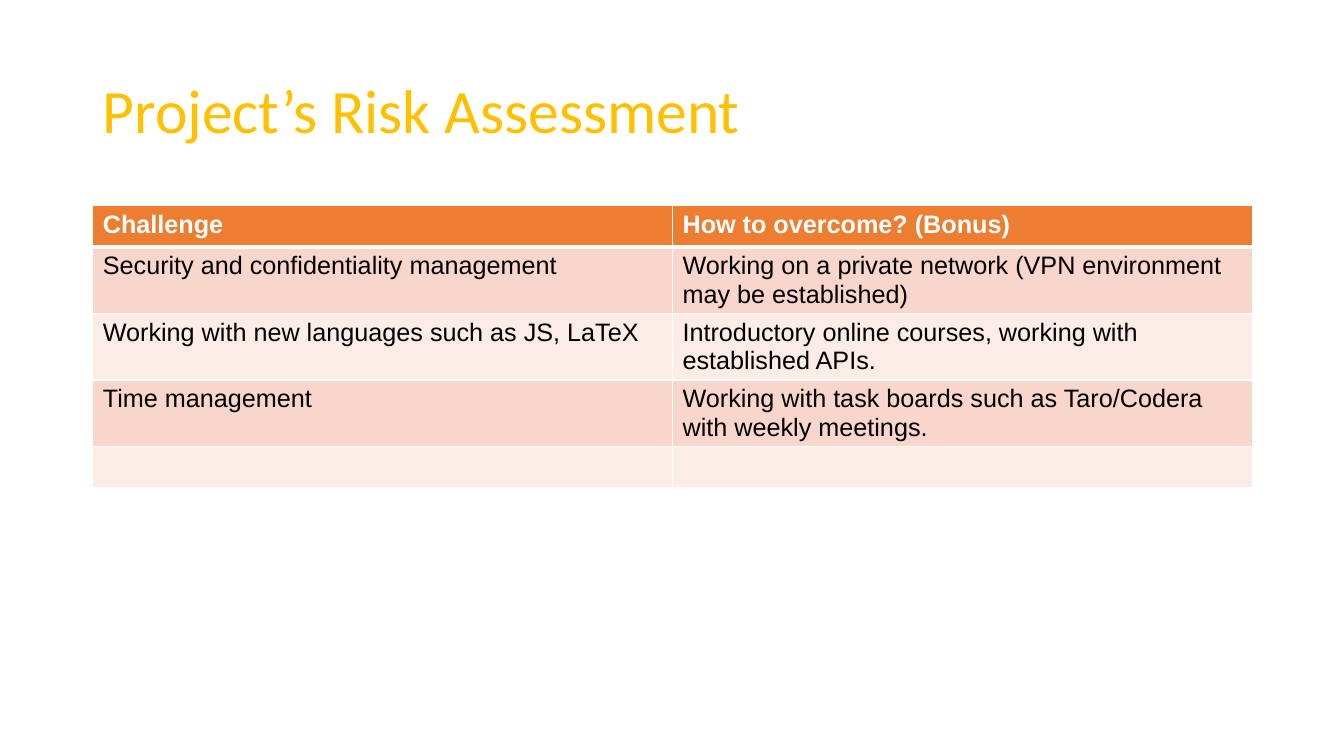
"""Build the project risk assessment slide."""
from lxml.etree import SubElement
from pptx import Presentation
from pptx.dml.color import RGBColor
from pptx.enum.text import MSO_ANCHOR as Anchor, PP_ALIGN as Align
from pptx.oxml.ns import qn
from pptx.util import Inches, Pt

GOLD = RGBColor(0xFF, 0xC0, 0x00)
ORANGE = RGBColor(0xED, 0x7D, 0x31)
ROSE = RGBColor(0xF8, 0xD6, 0xCC)
BLUSH = RGBColor(0xFC, 0xEC, 0xE7)
WHITE = RGBColor(0xFF, 0xFF, 0xFF)
BLACK = RGBColor(0x00, 0x00, 0x00)

LEFT, WIDTH = Inches(0.92), Inches(11.5)
RISKS = [
    ("Challenge", "How to overcome? (Bonus)"),
    ("Security and confidentiality management",
     "Working on a private network (VPN environment may be established)"),
    ("Working with new languages such as JS, LaTeX",
     "Introductory online courses, working with established APIs."),
    ("Time management",
     "Working with task boards such as Taro/Codera with weekly meetings."),
    ("", ""),
]


def write_text(frame, text, font="Arial", size=18, color=BLACK, bold=False, spacing=1.0):
    para = frame.paragraphs[0]
    para.alignment = Align.LEFT
    para.line_spacing = spacing
    if text:
        span = para.add_run()
        span.text = text
        span.font.name = font
        span.font.size = Pt(size)
        span.font.bold = bold
        span.font.color.rgb = color


class RiskPage:
    def __init__(self, deck):
        self.page = deck.slides.add_slide(deck.slide_layouts[5])

    def title(self, text):
        box = self.page.shapes.title
        box.left, box.top = LEFT, Inches(0.4)
        box.width, box.height = WIDTH, Inches(1.45)
        box.text_frame.word_wrap = True
        box.text_frame.vertical_anchor = Anchor.MIDDLE
        write_text(box.text_frame, text, font="Calibri", size=44, color=GOLD, spacing=0.9)

    def border(self, cell, side, points):
        line = SubElement(cell._tc.get_or_add_tcPr(), qn(f"a:ln{side}"), w=str(Pt(points)))
        fill = SubElement(line, qn("a:solidFill"))
        SubElement(fill, qn("a:srgbClr"), val=str(WHITE))

    def table(self, rows):
        height = Inches(0.41)
        table = self.page.shapes.add_table(
            len(rows), len(rows[0]), LEFT, Inches(2.04), WIDTH, height * len(rows)).table
        for index, texts in enumerate(rows):
            table.rows[index].height = height
            header = index == 0
            for column, text in enumerate(texts):
                cell = table.cell(index, column)
                for side in "LRTB":
                    heavy = (index, side) in ((0, "B"), (1, "T"))
                    self.border(cell, side, 3 if heavy else 1)
                cell.fill.solid()
                cell.fill.fore_color.rgb = ORANGE if header else (BLUSH, ROSE)[index % 2]
                write_text(cell.text_frame, text, bold=header,
                           color=WHITE if header else BLACK)


def main():
    deck = Presentation()
    deck.slide_width, deck.slide_height = Inches(13.33), Inches(7.5)
    page = RiskPage(deck)
    page.title("Project’s Risk Assessment")
    page.table(RISKS)
    deck.save("out.pptx")


if __name__ == "__main__":
    main()
